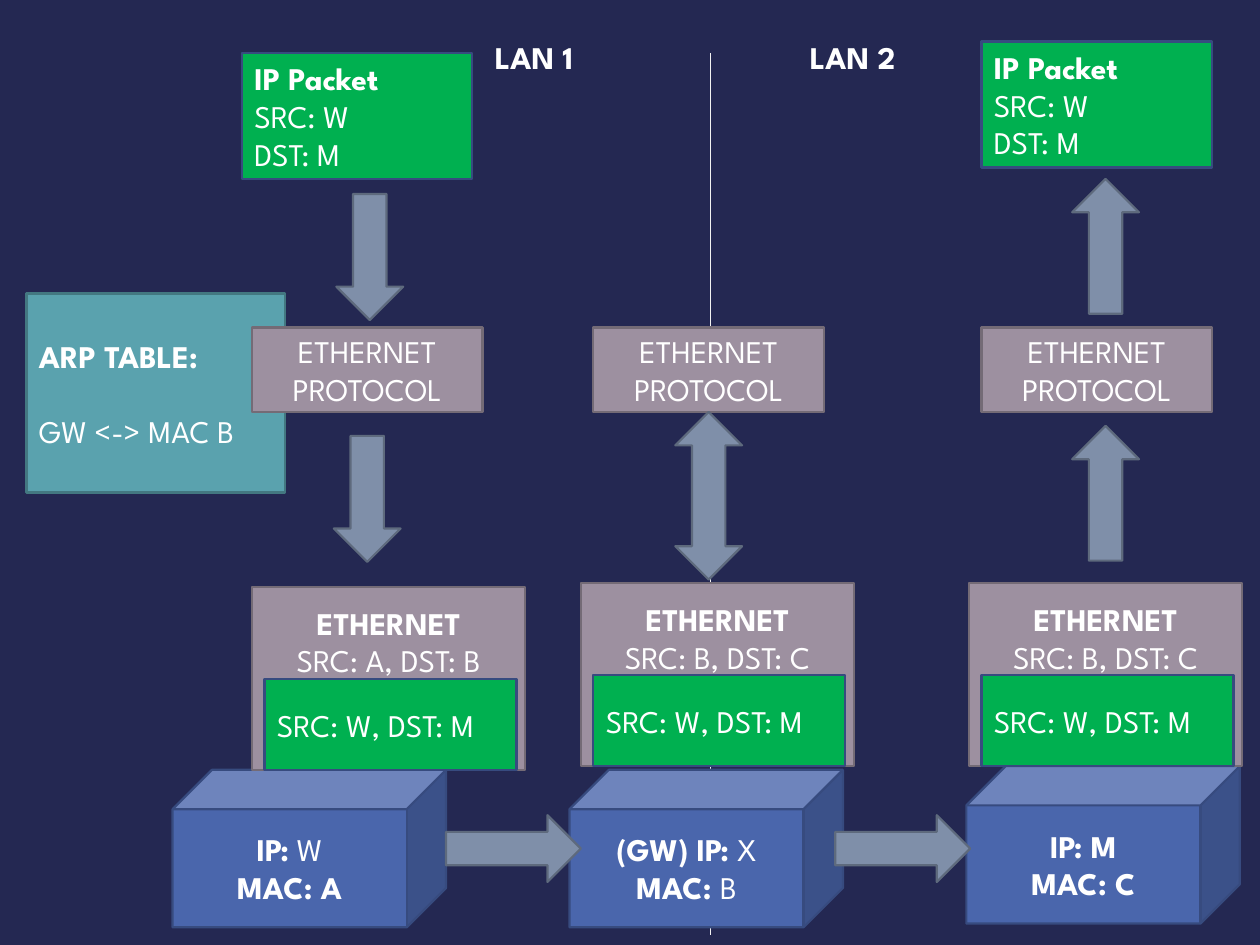
from pptx import Presentation
from pptx.dml.color import RGBColor
from pptx.enum.shapes import MSO_CONNECTOR, MSO_SHAPE
from pptx.enum.text import MSO_ANCHOR, PP_ALIGN
from pptx.oxml.ns import qn
from pptx.util import Inches, Pt
from lxml import etree

RECT, CUBE = MSO_SHAPE.RECTANGLE, MSO_SHAPE.CUBE
DOWN, UP = MSO_SHAPE.DOWN_ARROW, MSO_SHAPE.UP_ARROW
RIGHT, UP_DOWN = MSO_SHAPE.RIGHT_ARROW, MSO_SHAPE.UP_DOWN_ARROW
TOP, MIDDLE = MSO_ANCHOR.TOP, MSO_ANCHOR.MIDDLE
LEFT, CENTER = PP_ALIGN.LEFT, PP_ALIGN.CENTER

COLORS = {"bg": "242852", "text": "FFFFFF", "divider": "F2F2F2"}
STYLES = {
    "host": ("4A66AC", "374B7F"),
    "arp": ("5AA2AE", "437881"),
    "packet": ("00B050", "374B7F"),
    "ethernet": ("9D90A0", "746B76"),
    "arrow": ("7F8FA9", "5E6A7D"),
}
FONT = {"name": "League Spartan", "size": Pt(18)}


def add_text(tf, lines, align=LEFT, gap=0):
    for i, runs in enumerate(lines):
        p = tf.paragraphs[0] if i == 0 else tf.add_paragraph()
        p.alignment = align
        if i and gap:
            p.space_before = Pt(gap)
        for text, bold in runs:
            r = p.add_run()
            r.text = text
            for key, value in {**FONT, "bold": bold}.items():
                setattr(r.font, key, value)
            r.font.color.rgb = RGBColor.from_string(COLORS["text"])


def add_box(kind, style, box, lines=(), align=LEFT, gap=0, anchor=MIDDLE):
    sp = s.shapes.add_shape(kind, *map(Inches, box))
    sp.shadow.inherit = False
    fill, line = STYLES[style]
    sp.fill.solid()
    sp.fill.fore_color.rgb = RGBColor.from_string(fill)
    sp.line.color.rgb = RGBColor.from_string(line)
    sp.line.width = Pt(1.25)
    tf = sp.text_frame
    tf.word_wrap = True
    tf.vertical_anchor = anchor
    add_text(tf, lines, align, gap)
    return sp


prs = Presentation()
prs.slide_width, prs.slide_height = Inches(10), Inches(7.5)
s = prs.slides.add_slide(prs.slide_layouts[6])
s.background.fill.solid()
s.background.fill.fore_color.rgb = RGBColor.from_string(COLORS["bg"])

divider = s.shapes.add_connector(
    MSO_CONNECTOR.STRAIGHT, Inches(5.64), Inches(0.42), Inches(5.64), Inches(7.42))
divider.line.color.rgb = RGBColor.from_string(COLORS["divider"])
divider.line.width = Pt(0.75)
etree.SubElement(divider._element.spPr, qn("a:effectLst"))

for left, text in [(3.83, "LAN 1"), (6.33, "LAN 2")]:
    tb = s.shapes.add_textbox(Inches(left), Inches(0.25), Inches(0.92), Inches(0.4))
    tb.text_frame.word_wrap = False
    add_text(tb.text_frame, [[(text, True)]])

hosts = [
    (1.37, 6.11, [[("IP:", True), (" W", False)], [("MAC: A", True)]]),
    (4.52, 6.11, [[("(GW) IP: ", True), ("X", False)], [("MAC: ", True), ("B", False)]]),
    (7.67, 6.08, [[("IP: M", True)], [("MAC: C", True)]]),
]
for left, top, lines in hosts:
    add_box(CUBE, "host", (left, top, 2.17, 1.25), lines, CENTER)

add_box(RECT, "arp", (0.21, 2.33, 2.05, 1.58),
        [[("ARP TABLE:", True)], [("GW <-> MAC B", False)]], gap=21.5)

for left, top in [(1.92, 0.42), (7.79, 0.33)]:
    add_box(RECT, "packet", (left, top, 1.83, 1),
            [[("IP Packet", True)], [("SRC: W", False)], [("DST: M", False)]])

for left in (2, 4.71, 7.79):
    add_box(RECT, "ethernet", (left, 2.6, 1.83, 0.67),
            [[("ETHERNET PROTOCOL", False)]], CENTER)

frames = [
    (2, 4.66, "SRC: A, DST: B"),
    (4.61, 4.63, "SRC: B, DST: C"),
    (7.69, 4.63, "SRC: B, DST: C"),
]
for left, top, route in frames:
    frame = add_box(RECT, "ethernet", (left, top, 2.17, 1.45),
                    [[("ETHERNET", True)], [(route, False)]], CENTER, anchor=TOP)
    frame.text_frame.margin_top = Inches(0.13)
    add_box(RECT, "packet", (left + 0.1, top + 0.73, 2, 0.72),
            [[("SRC: W, DST: M", False)]])

arrows = [
    (DOWN, 2.67, 1.54, 0.53, 1),
    (DOWN, 2.65, 3.46, 0.53, 1),
    (RIGHT, 3.54, 6.47, 1.07, 0.53),
    (RIGHT, 6.63, 6.47, 1.07, 0.53),
    (UP, 8.51, 3.38, 0.53, 1.07),
    (UP, 8.51, 1.42, 0.53, 1.07),
    (UP_DOWN, 5.36, 3.27, 0.53, 1.33),
]
for kind, *box in arrows:
    add_box(kind, "arrow", box)

prs.save("out.pptx")
